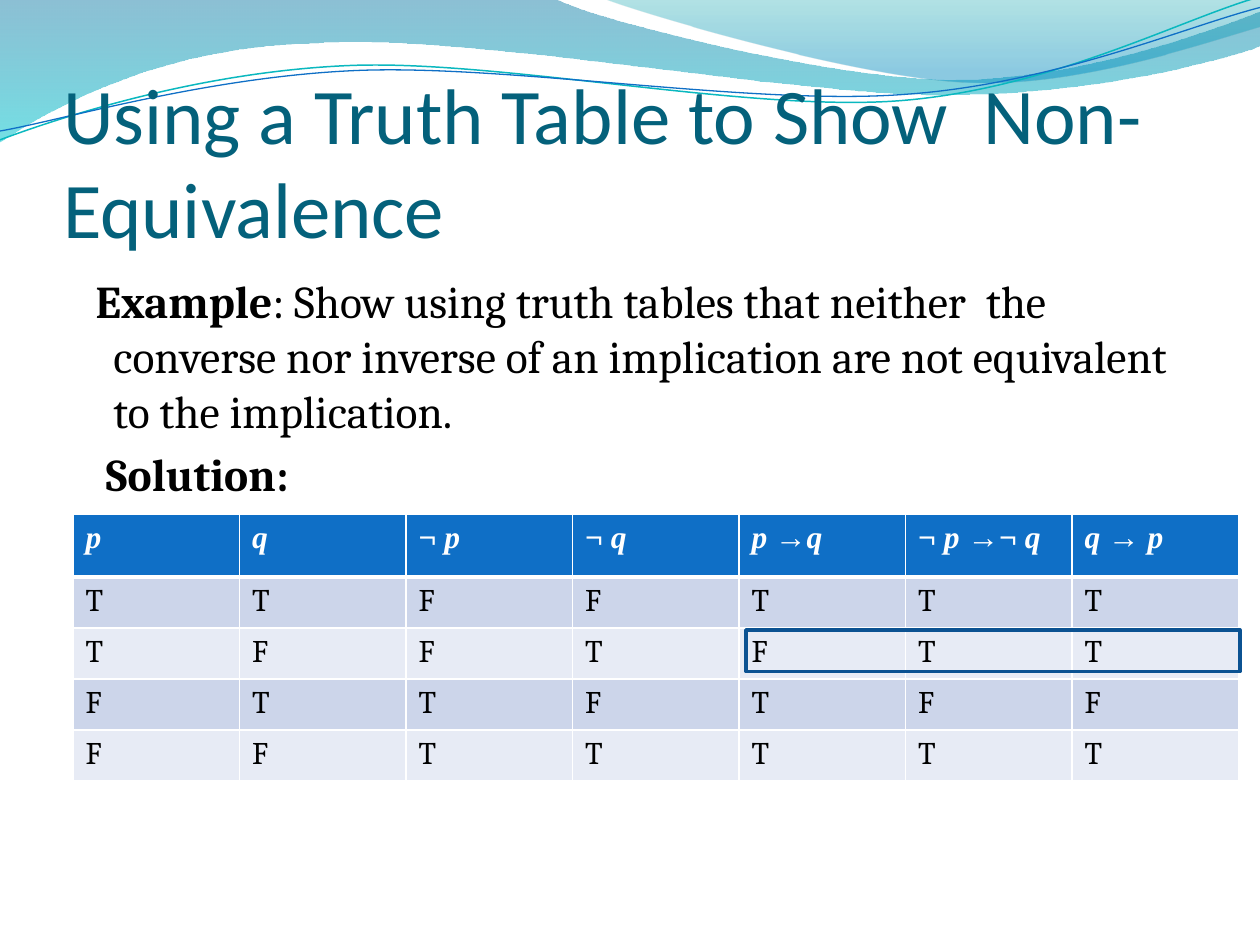
from math import cos, radians, sin

from lxml.etree import SubElement
from pptx import Presentation
from pptx.dml.color import RGBColor
from pptx.enum.shapes import MSO_SHAPE
from pptx.enum.text import MSO_ANCHOR, MSO_AUTO_SIZE, PP_ALIGN
from pptx.oxml import parse_xml
from pptx.oxml.ns import nsdecls, qn
from pptx.util import Inches, Pt


def color(hex_code):
    return RGBColor.from_string(hex_code)


def turned(point, center, degrees):
    dx, dy = point[0] - center[0], point[1] - center[1]
    angle = radians(degrees)
    return (center[0] + dx * cos(angle) - dy * sin(angle),
            center[1] + dx * sin(angle) + dy * cos(angle))


class TruthTableSlide:
    HEADING_FONT, TEXT_FONT, SYMBOL_FONT = "Calibri", "Cambria", "Times New Roman"
    TEAL, BLUE, NAVY = "04617B", "0F6FC6", "0B5292"
    BLACK, WHITE = "000000", "FFFFFF"
    BANDS = ("E7EBF5", "CCD5EA")
    TILT = 2.7

    def __init__(self, deck):
        self.slide = deck.slides.add_slide(deck.slide_layouts[1])
        self.shapes = self.slide.shapes

    def run(self, paragraph, text, size, font, hex_code, bold=False, italic=False):
        run = paragraph.add_run()
        run.text = text
        run.font.size, run.font.name = Pt(size), font
        run.font.bold, run.font.italic = bold, italic
        run.font.color.rgb = color(hex_code)

    def place(self, holder, left, top, width, height):
        holder.left, holder.top = Inches(left), Inches(top)
        holder.width, holder.height = Inches(width), Inches(height)
        frame = holder.text_frame
        frame.word_wrap, frame.auto_size = True, MSO_AUTO_SIZE.NONE
        return frame

    def title(self, text, box):
        frame = self.place(self.shapes.title, *box)
        frame.vertical_anchor = MSO_ANCHOR.BOTTOM
        frame.margin_left = frame.margin_right = frame.margin_bottom = 0
        frame.margin_top = Inches(0.05)
        heading = frame.paragraphs[0]
        heading.alignment = PP_ALIGN.LEFT
        self.run(heading, text, 45, self.HEADING_FONT, self.TEAL)

    def body(self, entries, box):
        frame = self.place(self.slide.placeholders[1], *box)
        frame.vertical_anchor = MSO_ANCHOR.TOP
        for index, (hanging, runs) in enumerate(entries):
            paragraph = frame.add_paragraph() if index else frame.paragraphs[0]
            paragraph.space_before = Pt(5.2)
            properties = paragraph._p.get_or_add_pPr()
            properties.set("marL", str(Inches(0.3)))
            properties.set("indent", str(-Inches(hanging)))
            SubElement(properties, qn("a:buNone"))
            for text, bold in runs:
                self.run(paragraph, text, 26, self.TEXT_FONT, self.BLACK, bold)

    def freeform(self, segments, closed):
        points = [(Inches(x), Inches(y)) for segment in segments
                  for x, y in zip(segment[::2], segment[1::2])]
        builder = self.shapes.build_freeform(*points[0], scale=1.0)
        builder.add_line_segments(points[1:], close=closed)
        shape = builder.convert_to_shape()
        shape.shadow.inherit = False
        lines = iter(list(shape._element.spPr.iter(qn("a:lnTo"))))
        for segment in segments[1:]:
            curve = next(lines)
            if len(segment) == 6:
                curve.tag = qn("a:cubicBezTo")
                for _ in range(2):
                    extra = next(lines)
                    curve.append(extra[0])
                    extra.getparent().remove(extra)
        return shape

    def wave(self, segments, stops):
        shape = self.freeform(segments, True)
        shape.line.fill.background()
        shape.fill.gradient()
        shape.fill.gradient_angle = 270
        for stop, (position, hex_code, _) in zip(shape.fill.gradient_stops, stops):
            stop.position, stop.color.rgb = position, color(hex_code)
        tints = shape._element.spPr.iter(qn("a:srgbClr"))
        for tint, (_, _, opacity) in zip(tints, stops):
            SubElement(tint, qn("a:alpha")).set("val", str(opacity * 1000))

    def strand(self, segments, center, hex_code, width):
        level = [[value for point in zip(segment[::2], segment[1::2])
                  for value in turned(point, center, self.TILT)] for segment in segments]
        shape = self.freeform(level, False)
        shape.rotation = -self.TILT
        shape.fill.background()
        shape.line.color.rgb, shape.line.width = color(hex_code), Pt(width)

    def cell(self, cell, hex_code, widths):
        cell.fill.solid()
        cell.fill.fore_color.rgb = color(hex_code)
        properties = cell._tc.get_or_add_tcPr()
        for index, (side, width) in enumerate(zip("LRTB", widths)):
            properties.insert(index, parse_xml(
                f'<a:ln{side} {nsdecls("a")} w="{Pt(width)}"><a:solidFill>'
                f'<a:srgbClr val="{self.WHITE}"/></a:solidFill></a:ln{side}>'))
        return cell.text_frame.paragraphs[0]

    def table(self, headings, truths, box, header_height):
        left, top, width, height = box
        count = len(headings)
        row_height = (height - header_height) / len(truths)
        table = self.shapes.add_table(len(truths) + 1, count, Inches(left), Inches(top),
                                      Inches(width), Inches(height)).table
        for column in table.columns:
            column.width = Inches(width / count)
        for index, row in enumerate(table.rows):
            row.height = Inches(row_height if index else header_height)
        for index, tokens in enumerate(headings):
            paragraph = self.cell(table.cell(0, index), self.BLUE, (1, 1, 1, 3))
            for token in tokens:
                self.run(paragraph, token, 18, self.SYMBOL_FONT, self.WHITE,
                         True, token.strip() in "pq")
        for number, values in enumerate(truths, 1):
            for index, value in enumerate(values):
                paragraph = self.cell(table.cell(number, index), self.BANDS[number % 2],
                                      (1, 1, 3 if number == 1 else 1, 1))
                self.run(paragraph, value, 18, self.TEXT_FONT, self.BLACK)

    def highlight(self, left, top, width, height):
        frame = self.shapes.add_shape(MSO_SHAPE.RECTANGLE, Inches(left), Inches(top),
                                      Inches(width), Inches(height))
        frame.shadow.inherit = False
        frame.fill.background()
        frame.line.color.rgb, frame.line.width = color(self.NAVY), Pt(2)

    def send_holders_forward(self):
        tree = self.shapes._spTree
        for holder in list(self.slide.placeholders):
            tree.append(holder._element)


deck = Presentation()
deck.slide_width, deck.slide_height = Inches(10), Inches(7.5)
page = TruthTableSlide(deck)

page.wave([(0, 0), (4.4, -0.01), (4.76, 0.17, 6.64, 0.63, 7.58, 0.63),
           (8.53, 0.63, 9.58, 0.26, 10, 0.09), (10.01, 0.36),
           (9.83, 0.44, 8.7, 0.76, 7.46, 0.75),
           (6.22, 0.75, 3.82, 0.28, 2.57, 0.34),
           (1.29, 0.36, 0.46, 0.83, -0.01, 1.13)],
          [(0, "0074A1", 45), (1, "00C6CF", 55)])
page.wave([(4.79, -0.01), (5.09, 0.11, 6.82, 0.62, 7.69, 0.65),
           (8.56, 0.69, 9.61, 0.32, 10, 0.21), (10, 0)],
          [(0, "00A1A9", 30), (0.8, "008BBF", 45)])
page.strand([(0, 1.11), (0.48, 0.93, 1.58, 0.57, 2.77, 0.52),
             (3.95, 0.47, 5.93, 0.89, 7.13, 0.8),
             (8.33, 0.71, 9.38, 0.15, 9.98, -0.02)], (4.99, 0.58), "0AB8BF", 0.85)
page.strand([(0, 1.04), (0.47, 0.96, 1.64, 0.61, 2.83, 0.56),
             (4.03, 0.51, 5.97, 0.84, 7.17, 0.75),
             (8.36, 0.67, 9.41, 0.21, 10, 0.06)], (5, 0.59), page.BLUE, 0.75)
page.send_holders_forward()

page.title("Using a Truth Table to Show  Non-Equivalence", (0.5, 0.77, 9, 1.25))
page.body([
    (0.14, [("Example", True),
            (": Show using truth tables that neither  the converse nor inverse of an "
             "implication are not equivalent to the implication.", False)]),
    (0.06, [("Solution:", True)]),
], (0.5, 2.12, 9, 4.8))

page.table([["p"], ["q"], ["¬ ", "p"], ["¬ ", "q"], ["p ", "→", "q"],
            ["¬ ", "p ", "→¬ ", "q"], ["q ", "→ ", "p"]],
           ["TTFFTTT", "TFFTFTT", "FTTFTFF", "FFTTTTT"],
           (0.58, 4.08, 9.25, 2.12), 0.5)
page.highlight(5.92, 5, 3.92, 0.33)

deck.save("out.pptx")
